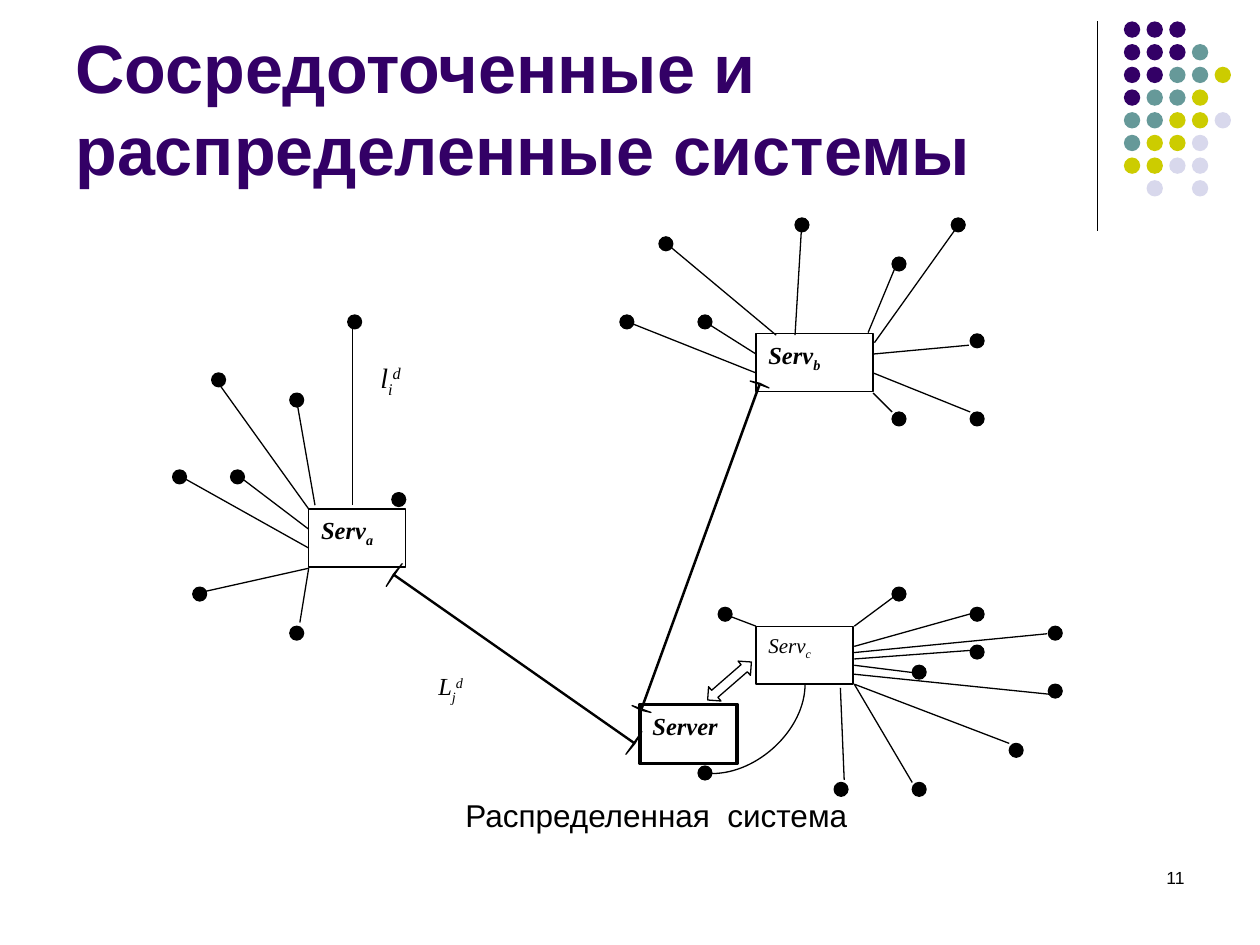
from dataclasses import dataclass

from lxml.etree import SubElement
from pptx import Presentation
from pptx.dml.color import RGBColor
from pptx.enum.shapes import MSO_CONNECTOR, MSO_SHAPE
from pptx.enum.text import MSO_ANCHOR, PP_ALIGN
from pptx.oxml.ns import qn
from pptx.util import Inches, Pt

BLACK = RGBColor(0x00, 0x00, 0x00)
WHITE = RGBColor(0xFF, 0xFF, 0xFF)
PURPLE = RGBColor(0x33, 0x00, 0x66)
TEAL = RGBColor(0x66, 0x99, 0x99)
OLIVE = RGBColor(0xCC, 0xCC, 0x00)
LAVENDER = RGBColor(0xD8, 0xD8, 0xEC)

THIN = 0.75
TERMINAL_SIZE = 0.11
SUBSCRIPT, SUPERSCRIPT = -25, 30

DOT_COLOURS = {"P": PURPLE, "T": TEAL, "O": OLIVE, "L": LAVENDER}
DOT_ROWS = ("PPP", "PPPT", "PPTTO", "PTTO", "TTOOL", "TOOL", "OOLL", " L L")
DOT_LEFT, DOT_TOP, DOT_PITCH, DOT_SIZE = 8.92, 0.17, 0.18, 0.13

SERVER_FONT = {"name": "Times New Roman", "size": Pt(14), "bold": True, "italic": True}
PLAIN_FONT = SERVER_FONT | {"bold": False}


@dataclass
class Label:
    frame: tuple[float, float, float, float]
    runs: list[tuple[str, int]]
    font: dict
    line_width: float = 0


@dataclass
class Arrow:
    kind: MSO_SHAPE
    frame: tuple[float, float, float, float]
    rotation: float
    adjustments: tuple[float, float]


@dataclass
class Cluster:
    """Terminals by left and top; links as server end x, y, terminal end x, y."""
    terminals: list[tuple[float, float]]
    links: list[tuple[float, float, float, float]]


SERVERS = [
    Label((2.45, 4.04, 0.77, 0.46), [("Serv", 0), ("a", SUBSCRIPT)], SERVER_FONT, THIN),
    Label((5.08, 5.59, 0.77, 0.47), [("Server", 0)], SERVER_FONT, 2),
    Label((6, 2.65, 0.93, 0.46), [("Serv", 0), ("b", SUBSCRIPT)], SERVER_FONT, THIN),
    Label((6, 4.97, 0.77, 0.46), [("Serv", 0), ("c", SUBSCRIPT)],
          PLAIN_FONT | {"size": Pt(12)}, THIN),
]
DISTANCES = [
    Label((3.38, 5.28, 0.62, 0.46),
          [("L", 0), ("j", SUBSCRIPT), ("d", SUPERSCRIPT)], PLAIN_FONT),
    Label((2.92, 2.81, 0.62, 0.46),
          [("l", 0), ("i", SUBSCRIPT), ("d", SUPERSCRIPT)], PLAIN_FONT | {"size": Pt(16)}),
]
SERVER_ARROWS = [
    Arrow(MSO_SHAPE.LEFT_RIGHT_ARROW, (2.91, 5.12, 2.34, 0.22), 35, (0.04, 0.04)),
    Arrow(MSO_SHAPE.UP_DOWN_ARROW, (5.48, 2.96, 0.16, 2.76), 20, (0.06, 0.06)),
    Arrow(MSO_SHAPE.LEFT_RIGHT_ARROW, (5.56, 5.33, 0.46, 0.15), 319, (0.5, 0.5)),
]
CLUSTERS = [
    Cluster(
        [(2.76, 2.5), (2.3, 3.12), (1.68, 2.96), (1.83, 3.73), (1.37, 3.73),
         (1.53, 4.66), (2.3, 4.97), (3.11, 3.91)],
        [(2.8, 4.01, 2.8, 2.6), (2.5, 4.01, 2.36, 3.21), (2.45, 4.04, 1.74, 3.05),
         (2.45, 4.2, 1.91, 3.79), (2.45, 4.35, 1.45, 3.79), (2.45, 4.51, 1.6, 4.7),
         (2.45, 4.51, 2.38, 4.94)]),
    Cluster(
        [(4.92, 2.5), (5.54, 2.5), (5.23, 1.88), (6.31, 1.73), (7.08, 2.04),
         (7.55, 1.73), (7.7, 2.65), (7.7, 3.27), (7.08, 3.27)],
        [(6, 2.81, 5.62, 2.57), (6, 2.96, 5.02, 2.57), (6.16, 2.66, 5.31, 1.95),
         (6.31, 2.66, 6.36, 1.83), (6.89, 2.64, 7.11, 2.11), (6.94, 2.72, 7.59, 1.81),
         (6.93, 2.81, 7.69, 2.74), (6.93, 2.96, 7.7, 3.27), (6.93, 3.12, 7.08, 3.27)]),
    Cluster(
        [(5.7, 4.82), (7.08, 4.66), (7.7, 4.82), (8.32, 4.97), (7.7, 5.12), (7.24, 5.28),
         (8.32, 5.43), (8.01, 5.9), (7.24, 6.21), (5.54, 6.08), (6.62, 6.21)],
        [(6, 4.97, 5.79, 4.89), (6.78, 4.97, 7.09, 4.74), (6.78, 5.13, 7.71, 4.87),
         (6.77, 5.18, 8.31, 5.03), (6.78, 5.23, 7.73, 5.16), (6.78, 5.28, 7.26, 5.34),
         (6.77, 5.35, 8.33, 5.51), (6.78, 5.43, 8.01, 5.9), (6.78, 5.43, 7.24, 6.21),
         (6.67, 5.46, 6.7, 6.19)]),
]


def add_preset(slide, kind, frame, fill: RGBColor, line_width: float = 0):
    shape = slide.shapes.add_shape(kind, *map(Inches, frame))
    shape.shadow.inherit = False
    shape.fill.solid()
    shape.fill.fore_color.rgb = fill
    if line_width:
        shape.line.color.rgb = BLACK
        shape.line.width = Pt(line_width)
    else:
        shape.line.fill.background()
    return shape


def write_text(shape, runs: list[tuple[str, int]], font: dict, colour: RGBColor = BLACK,
               align=PP_ALIGN.LEFT, anchor=MSO_ANCHOR.TOP) -> None:
    """Fill the shape with runs, each with its baseline shift in percent."""
    frame = shape.text_frame
    frame.word_wrap = True
    frame.vertical_anchor = anchor
    paragraph = frame.paragraphs[0]
    paragraph.alignment = align
    for text, shift in runs:
        run = paragraph.add_run()
        run.text = text
        run.font.color.rgb = colour
        for attribute, value in font.items():
            setattr(run.font, attribute, value)
        if shift:
            run._r.get_or_add_rPr().set("baseline", str(shift * 1000))


def add_text(slide, frame, text: str, **style) -> None:
    write_text(slide.shapes.add_textbox(*map(Inches, frame)), [(text, 0)], **style)


def add_label(slide, label: Label) -> None:
    box = add_preset(slide, MSO_SHAPE.RECTANGLE, label.frame, WHITE, label.line_width)
    write_text(box, label.runs, label.font)


def add_arrow(slide, arrow: Arrow) -> None:
    shape = add_preset(slide, arrow.kind, arrow.frame, WHITE, THIN)
    shape.rotation = arrow.rotation
    for index, value in enumerate(arrow.adjustments):
        shape.adjustments[index] = value
    # The library names both guides of the up-down arrow adj1.
    for number, guide in enumerate(shape._element.spPr.iter(qn("a:gd")), start=1):
        guide.set("name", f"adj{number}")


def add_link(slide, ends, kind=MSO_CONNECTOR.STRAIGHT):
    link = slide.shapes.add_connector(kind, *map(Inches, ends))
    link.line.color.rgb = BLACK
    link.line.width = Pt(THIN)
    SubElement(link._element.spPr, qn("a:effectLst"))
    return link


def add_cluster(slide, cluster: Cluster) -> None:
    for left, top in cluster.terminals:
        add_preset(slide, MSO_SHAPE.OVAL, (left, top, TERMINAL_SIZE, TERMINAL_SIZE),
                   BLACK, THIN)
    for ends in cluster.links:
        add_link(slide, ends)


def add_corner_dots(slide) -> None:
    for row, codes in enumerate(DOT_ROWS):
        for column, code in enumerate(codes):
            if code in DOT_COLOURS:
                frame = (DOT_LEFT + column * DOT_PITCH, DOT_TOP + row * DOT_PITCH,
                         DOT_SIZE, DOT_SIZE)
                add_preset(slide, MSO_SHAPE.OVAL, frame, DOT_COLOURS[code])


def main() -> None:
    deck = Presentation()
    deck.slide_width, deck.slide_height = Inches(10), Inches(7.5)
    slide = deck.slides.add_slide(deck.slide_layouts[6])

    add_link(slide, (8.71, 0.17, 8.71, 1.83))
    add_corner_dots(slide)
    add_text(slide, (7.17, 6.83, 2.33, 0.5), "11",
             font={"name": "Arial", "size": Pt(10)}, align=PP_ALIGN.RIGHT)
    add_text(slide, (0.5, 0.13, 8.25, 1.42), "Сосредоточенные и распределенные системы",
             font={"name": "Arial", "size": Pt(39), "bold": True},
             colour=PURPLE, anchor=MSO_ANCHOR.BOTTOM)
    add_text(slide, (3.58, 6.27, 3.26, 0.4), "Распределенная  система",
             font={"name": "Arial", "size": Pt(18)},
             align=PP_ALIGN.CENTER, anchor=MSO_ANCHOR.MIDDLE)

    for server in SERVERS:
        add_label(slide, server)
    for arrow in SERVER_ARROWS:
        add_arrow(slide, arrow)
    for cluster in CLUSTERS:
        add_cluster(slide, cluster)
    curved_link = add_link(slide, (5.65, 6.14, 6.39, 5.43), MSO_CONNECTOR.CURVE)
    curved_link._element.spPr.find(qn("a:prstGeom")).set("prst", "curvedConnector2")
    for distance in DISTANCES:
        add_label(slide, distance)

    deck.save("out.pptx")


if __name__ == "__main__":
    main()
